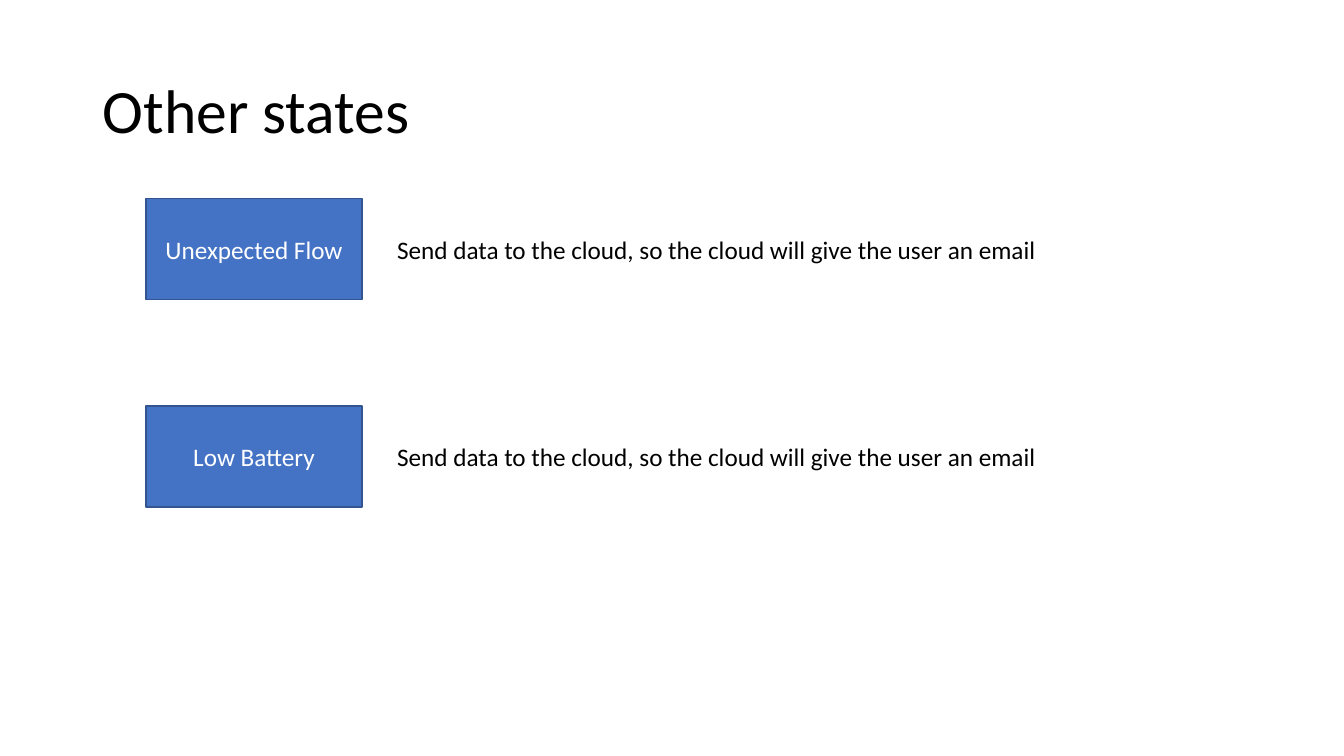
from pptx import Presentation
from pptx.dml.color import RGBColor
from pptx.enum.shapes import MSO_SHAPE
from pptx.enum.text import MSO_ANCHOR, PP_ALIGN
from pptx.util import Inches, Pt

BLACK = RGBColor(0x00, 0x00, 0x00)
WHITE = RGBColor(0xFF, 0xFF, 0xFF)
BLUE = RGBColor(0x44, 0x72, 0xC4)
DARK_BLUE = RGBColor(0x32, 0x54, 0x91)
FONT = "Calibri"

SLIDE_WIDTH, SLIDE_HEIGHT = 13.33, 7.5
STATES_LEFT, STATES_TOP = 1.45, 1.97
STATES_WIDTH, ROW_HEIGHT, ROW_PITCH = 9.01, 1, 2.06
STATE_WIDTH, ACTION_OFFSET, ACTION_HEIGHT = 2.14, 2.39, 0.4

STATES = [
    ("Unexpected Flow", "Send data to the cloud, so the cloud will give the user an email"),
    ("Low Battery", "Send data to the cloud, so the cloud will give the user an email"),
]


def write_text(shape, text, size, color, alignment=PP_ALIGN.LEFT, wrap=True):
    """Write one vertically centred line of text and return its paragraph."""
    frame = shape.text_frame
    frame.word_wrap = wrap
    frame.vertical_anchor = MSO_ANCHOR.MIDDLE
    paragraph = frame.paragraphs[0]
    paragraph.alignment = alignment
    run = paragraph.add_run()
    run.text = text
    run.font.name = FONT
    run.font.size = Pt(size)
    run.font.color.rgb = color
    return paragraph


def add_title(slide, left, top, width, height, text):
    """Place the slide title in the given box."""
    box = slide.shapes.add_textbox(*map(Inches, (left, top, width, height)))
    write_text(box, text, 44, BLACK).line_spacing = 0.9


def add_state_row(slide, left, top, width, height, state, action):
    """Place a state block and, centred beside it, the action it triggers."""
    block = slide.shapes.add_shape(
        MSO_SHAPE.RECTANGLE, *map(Inches, (left, top, STATE_WIDTH, height)))
    block.shadow.inherit = False
    block.fill.solid()
    block.fill.fore_color.rgb = BLUE
    block.line.color.rgb = DARK_BLUE
    block.line.width = Pt(1)
    write_text(block, state, 18, WHITE, PP_ALIGN.CENTER)

    action_top = top + (height - ACTION_HEIGHT) / 2
    box = slide.shapes.add_textbox(*map(Inches, (
        left + ACTION_OFFSET, action_top, width - ACTION_OFFSET, ACTION_HEIGHT)))
    write_text(box, action, 18, BLACK, wrap=False)


def build_states_slide(presentation):
    """Build the slide of other states on the blank layout."""
    slide = presentation.slides.add_slide(presentation.slide_layouts[6])
    add_title(slide, 0.92, 0.4, 11.5, 1.45, "Other states")
    for row, (state, action) in enumerate(STATES):
        add_state_row(slide, STATES_LEFT, STATES_TOP + row * ROW_PITCH,
                      STATES_WIDTH, ROW_HEIGHT, state, action)


presentation = Presentation()
presentation.slide_width = Inches(SLIDE_WIDTH)
presentation.slide_height = Inches(SLIDE_HEIGHT)
build_states_slide(presentation)
presentation.save("out.pptx")
